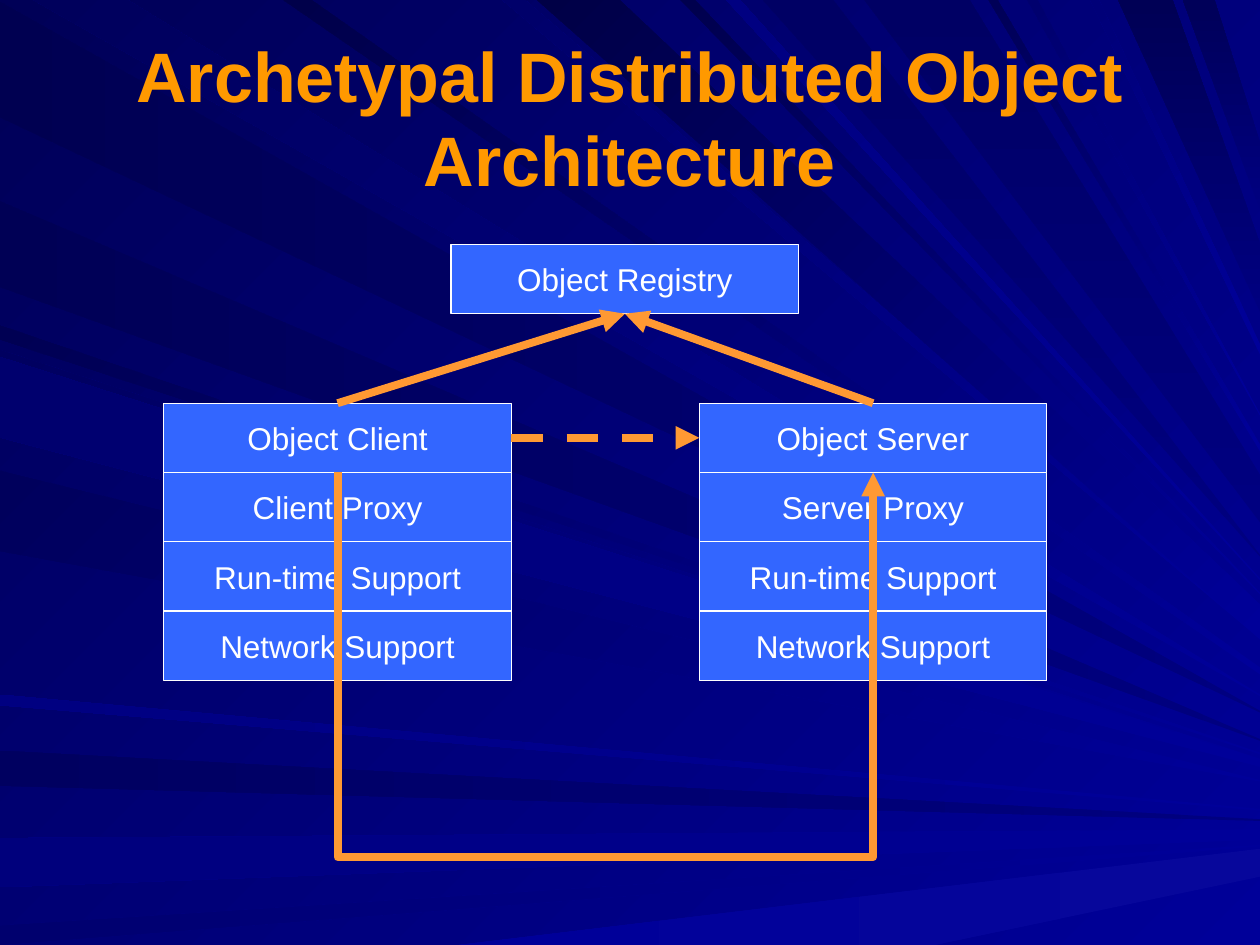
"""Build the distributed object architecture slide with its ray background."""
from dataclasses import dataclass

import pptx
import pptx.dml.color
import pptx.dml.fill
import pptx.enum.dml
import pptx.enum.shapes
import pptx.enum.text
import pptx.oxml
import pptx.oxml.ns
import pptx.shapes.autoshape
import pptx.shapes.connector
import pptx.slide
import pptx.text.text
import pptx.util

Pt = pptx.util.Pt
CONNECTOR = pptx.enum.shapes.MSO_CONNECTOR
WHITE, BLUE, ORANGE, TITLE_ORANGE = "FFFFFF", "3366FF", "FF9933", "FF9900"
BRIGHT, MEDIUM = "000099", "000080"
WIDTH, HEIGHT = 720, 540
FOCUS_X, FOCUS_Y = 850, 474
BOX_WIDTH, BOX_HEIGHT = 198.6, 39.6
STACK_TOP = 230.4
LOOP_BOTTOM, LOOP_SPAN = 491.76, 0.2
TOP, LEFT, BOTTOM, RIGHT = range(4)


@dataclass(frozen=True)
class Ray:
    side: int
    start: float
    end: float
    dark: str
    angle: int = 225
    light: str = BRIGHT
    spread: float = 1


@dataclass(frozen=True)
class Stack:
    left: float
    labels: tuple[str, ...]


RAYS = (
    Ray(LEFT, 1, 67, "000051", 180, MEDIUM),
    Ray(TOP, 19, 73, "00005C"),
    Ray(LEFT, 429, 449, "000060", 180, MEDIUM),
    Ray(LEFT, 479, 507, "00007C", 180, spread=6),
    Ray(LEFT, 529, 540, "00006E", 180),
    Ray(BOTTOM, 262, 534, BRIGHT, 180, "07079B", 16),
    Ray(LEFT, 186, 194, "000053"),
    Ray(LEFT, 115, 164, "000055", 180, MEDIUM),
    Ray(TOP, 287, 300, "00006A", spread=4),
    Ray(TOP, 307, 354, "000046", spread=20),
    Ray(TOP, 389, 397, "00004E"),
    Ray(TOP, 436, 476, "000064", 270, MEDIUM),
    Ray(TOP, 639, 670, "000055", 270, MEDIUM, 39),
    Ray(TOP, 676, 694, "000059", 270, MEDIUM, 38),
    Ray(LEFT, 200, 246, "000060", spread=4),
    Ray(LEFT, 269, 315, "00005C"),
    Ray(LEFT, 397, 403, "000081", 180),
    Ray(TOP, 162, 178, "00004A", spread=4),
    Ray(TOP, 415, 423, "000081"),
    Ray(TOP, 494, 554, "000064", 270, MEDIUM, 27),
    Ray(TOP, 565, 570, "000057", spread=4),
    Ray(TOP, 587, 593, "00006E"),
    Ray(TOP, 623, 628, "000078", spread=6),
    Ray(LEFT, 204, 250, "00006E", 180, spread=4),
)
CLIENT = Stack(93.6, ("Object Client", "Client Proxy", "Run-time Support", "Network Support"))
SERVER = Stack(399.6, ("Object Server", "Server Proxy", "Run-time Support", "Network Support"))


def color(value: str) -> pptx.dml.color.RGBColor:
    return pptx.dml.color.RGBColor.from_string(value)


def paint(fill: pptx.dml.fill.FillFormat, start: str, end: str, angle: int) -> None:
    fill.gradient()
    fill.gradient_angle = 360 - angle
    for stop, value in zip(fill.gradient_stops, (start, end)):
        stop.color.rgb = color(value)


def edge_point(side: int, distance: float) -> tuple[float, float]:
    return {TOP: (distance, 0), LEFT: (0, distance), BOTTOM: (distance, HEIGHT)}[side]


def draw_ray(slide: pptx.slide.Slide, ray: Ray) -> None:
    x, y = edge_point(ray.side, (ray.start + ray.end) / 2)
    tip = y + (FOCUS_Y - y) * (WIDTH - x) / (FOCUS_X - x)
    upper, lower = (WIDTH, tip - ray.spread / 2), (WIDTH, tip + ray.spread / 2)
    near, far = edge_point(ray.side, ray.start), edge_point(ray.side, ray.end)
    corners = (near, far, upper, lower) if ray.side == TOP else (near, upper, lower, far)
    first, *rest = [(Pt(across), Pt(down)) for across, down in corners]
    builder = slide.shapes.build_freeform(*first)
    builder.add_line_segments(rest, close=True)
    shape = builder.convert_to_shape()
    shape.shadow.inherit = False
    shape.line.fill.background()
    paint(shape.fill, ray.light, ray.dark, ray.angle)


def write(frame: pptx.text.text.TextFrame, text: str, value: str, wrap: bool, **formats) -> None:
    frame.word_wrap = wrap
    frame.vertical_anchor = pptx.enum.text.MSO_ANCHOR.MIDDLE
    paragraph = frame.paragraphs[0]
    paragraph.alignment = pptx.enum.text.PP_ALIGN.CENTER
    run = paragraph.add_run()
    run.text = text
    for name, setting in {"name": "Arial", **formats}.items():
        setattr(run.font, name, setting)
    run.font.color.rgb = color(value)


def draw_box(slide: pptx.slide.Slide, left: float, top: float, label: str) -> pptx.shapes.autoshape.Shape:
    shape = slide.shapes.add_shape(
        pptx.enum.shapes.MSO_SHAPE.RECTANGLE, Pt(left), Pt(top), Pt(BOX_WIDTH), Pt(BOX_HEIGHT))
    shape.shadow.inherit = False
    shape.fill.solid()
    shape.fill.fore_color.rgb = color(BLUE)
    shape.line.color.rgb = color(WHITE)
    shape.line.width = Pt(0.75)
    write(shape.text_frame, label, WHITE, False, size=Pt(18))
    return shape


def draw_stack(slide: pptx.slide.Slide, stack: Stack) -> pptx.shapes.autoshape.Shape:
    boxes = [draw_box(slide, stack.left, STACK_TOP + row * BOX_HEIGHT, label)
             for row, label in enumerate(stack.labels)]
    return boxes[0]


def style_arrow(connector: pptx.shapes.connector.Connector) -> None:
    connector.line.color.rgb = color(ORANGE)
    connector.line.width = Pt(4.5)
    namespace = pptx.oxml.ns.nsdecls("a")
    properties = connector._element.spPr
    line = properties.find(pptx.oxml.ns.qn("a:ln"))
    line.append(pptx.oxml.parse_xml(f'<a:tailEnd {namespace} type="triangle"/>'))
    properties.append(pptx.oxml.parse_xml(f"<a:effectLst {namespace}/>"))


def join(slide: pptx.slide.Slide, source: pptx.shapes.autoshape.Shape, source_side: int,
         target: pptx.shapes.autoshape.Shape, target_side: int) -> pptx.shapes.connector.Connector:
    connector = slide.shapes.add_connector(CONNECTOR.STRAIGHT, Pt(0), Pt(0), Pt(0), Pt(0))
    connector.begin_connect(source, source_side)
    connector.end_connect(target, target_side)
    style_arrow(connector)
    return connector


def draw_loop(slide: pptx.slide.Slide) -> None:
    level = STACK_TOP + BOX_HEIGHT
    reach = SERVER.left - CLIENT.left
    middle = (SERVER.left + CLIENT.left + BOX_WIDTH) / 2
    connector = slide.shapes.add_connector(
        CONNECTOR.ELBOW, Pt(middle + LOOP_SPAN / 2), Pt(level - reach / 2),
        Pt(middle - LOOP_SPAN / 2), Pt(level + reach / 2))
    properties = connector._element.spPr
    properties.find(pptx.oxml.ns.qn("a:xfrm")).set("rot", str(270 * 60000))
    depth = round((LOOP_BOTTOM - level) / LOOP_SPAN * 100000)
    guides = properties.find(pptx.oxml.ns.qn("a:prstGeom")).get_or_add_avLst()
    guides.append(pptx.oxml.parse_xml(
        f'<a:gd {pptx.oxml.ns.nsdecls("a")} name="adj1" fmla="val {depth}"/>'))
    style_arrow(connector)


def main() -> None:
    presentation = pptx.Presentation()
    presentation.slide_width, presentation.slide_height = Pt(WIDTH), Pt(HEIGHT)
    slide = presentation.slides.add_slide(presentation.slide_layouts[6])
    paint(slide.background.fill, BRIGHT, "000057", 225)
    for ray in RAYS:
        draw_ray(slide, ray)
    title = slide.shapes.add_textbox(Pt(36), Pt(21.6), Pt(648), Pt(90))
    write(title.text_frame, "Archetypal Distributed Object Architecture", TITLE_ORANGE, True,
          size=Pt(40), bold=True)
    client, server = draw_stack(slide, CLIENT), draw_stack(slide, SERVER)
    registry = draw_box(slide, 257.8, 139.7, "Object Registry")
    for source in (client, server):
        join(slide, source, TOP, registry, BOTTOM)
    call = join(slide, client, RIGHT, server, LEFT)
    call.line.dash_style = pptx.enum.dml.MSO_LINE.DASH
    draw_loop(slide)
    presentation.save("out.pptx")


if __name__ == "__main__":
    main()
